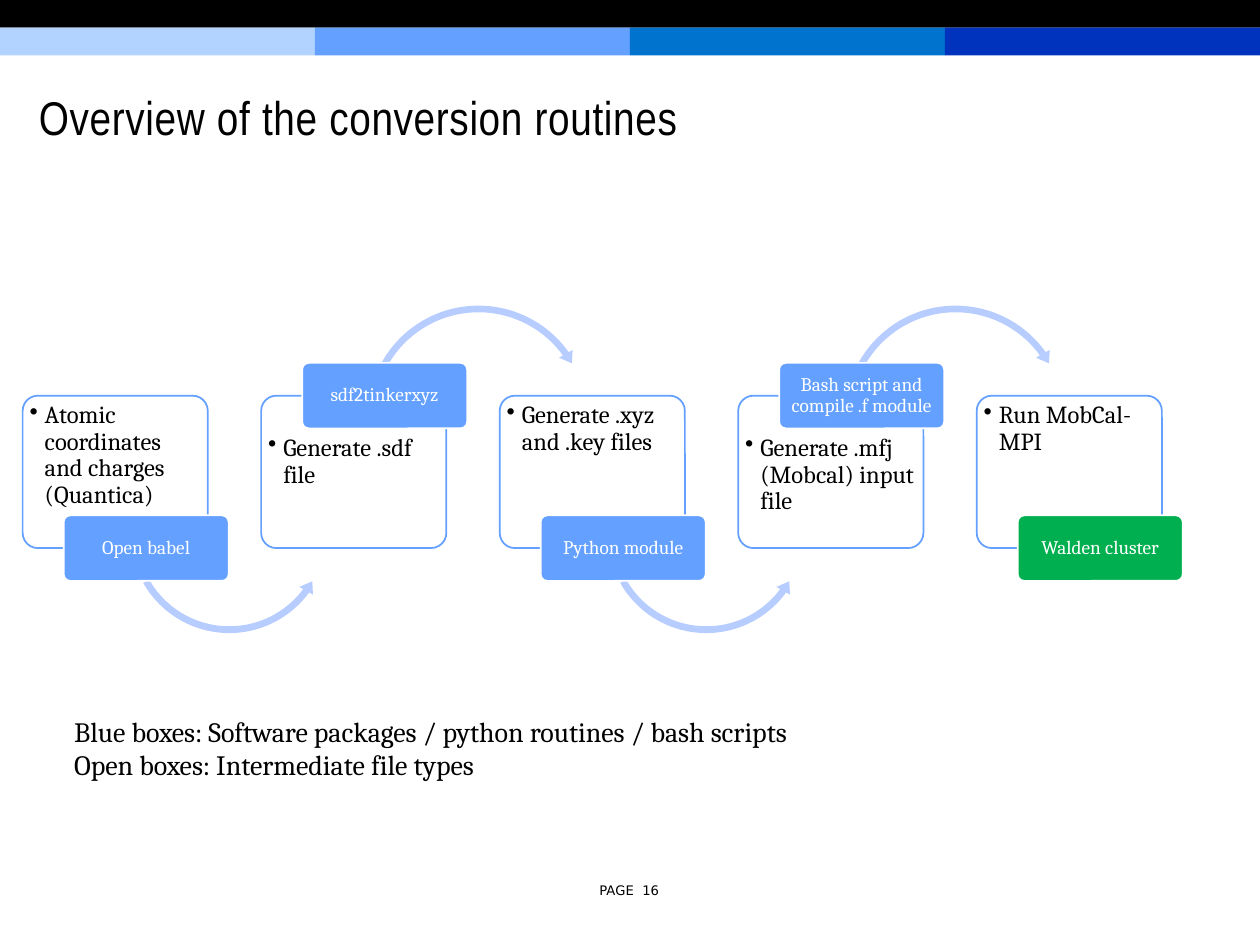
from dataclasses import dataclass

from lxml import etree
from pptx import Presentation
from pptx import util as u
from pptx.dml.color import RGBColor
from pptx.enum import shapes, text
from pptx.oxml.ns import qn


@dataclass(frozen=True)
class Theme:
    black: str = "000000"
    white: str = "FFFFFF"
    blue: str = "63A0FF"
    green: str = "00B050"
    arrow: str = "B7CDFF"
    bands: tuple = ("B2D3FF", "63A0FF", "0073CE", "0033BD")
    body_font: str = "Cambria"
    title_font: str = "Arial Narrow"
    page_font: str = "DejaVu Sans"
    title_size: float = 27
    legend_size: float = 16
    box_size: float = 14
    label_size: float = 11
    page_size: float = 7.5


THEME = Theme()
SHAPE = shapes.MSO_SHAPE
WIDTH, HEIGHT = 10, 7.5

# Step grid: one column per step, one row for the open boxes
FIRST_LEFT, COLUMN, ROW_TOP = 0.18, 1.893, 3.14
BOX_WIDTH, BOX_HEIGHT = 1.47, 1.21
LABEL_WIDTH, LABEL_HEIGHT = 1.31, 0.52
LABEL_SHIFT = 0.325

# Arrow forms: preset, size, left and top from the box corner, adjustments
ARROW_BELOW = (SHAPE.LEFT_CIRCULAR_ARROW, 1.64, 0.82, 0.28,
               (0.033, 4.05, 21.805, 90.245, 0.038))
ARROW_ABOVE = (SHAPE.CIRCULAR_ARROW, 1.83, 0.81, -0.75,
               (0.029, 3.606, 194.639, 125.755, 0.034))

STEPS = [
    ("Atomic coordinates and charges (Quantica)", "Open babel", THEME.blue),
    ("Generate .sdf file", "sdf2tinkerxyz", THEME.blue),
    ("Generate .xyz and .key files", "Python module", THEME.blue),
    ("Generate .mfj (Mobcal) input file", "Bash script and compile .f module", THEME.blue),
    ("Run MobCal-MPI", "Walden cluster", THEME.green),
]


def add_block(slide, preset, left, top, width, height, fill, line=None, opacity=100):
    shape = slide.shapes.add_shape(preset, *map(u.Inches, (left, top, width, height)))
    shape.shadow.inherit = False
    shape.fill.solid()
    shape.fill.fore_color.rgb = RGBColor.from_string(fill)
    if opacity < 100:
        color = shape._element.spPr.find(qn("a:solidFill"))[0]
        etree.SubElement(color, qn("a:alpha")).set("val", str(opacity * 1000))
    if line:
        shape.line.color.rgb = RGBColor.from_string(line)
        shape.line.width = u.Pt(1)
    else:
        shape.line.fill.background()
    return shape


def write(shape, *lines, size, font=THEME.body_font, color=THEME.black,
          align=text.PP_ALIGN.LEFT, anchor=text.MSO_ANCHOR.TOP,
          margins=(0.1, 0.05, 0.1, 0.05), line_spacing=None, tracking=None, bullet=False):
    frame = shape.text_frame
    frame.word_wrap = True
    frame.vertical_anchor = anchor
    (frame.margin_left, frame.margin_top,
     frame.margin_right, frame.margin_bottom) = map(u.Inches, margins)
    for index, line in enumerate(lines):
        paragraph = frame.add_paragraph() if index else frame.paragraphs[0]
        paragraph.alignment = align
        if line_spacing:
            paragraph.line_spacing = line_spacing
        run = paragraph.add_run()
        run.text = line
        run.font.size = u.Pt(size)
        run.font.name = font
        run.font.color.rgb = RGBColor.from_string(color)
        if tracking:
            run.font._element.set("spc", str(round(tracking * 100)))
        if bullet:
            properties = paragraph._p.get_or_add_pPr()
            properties.set("marL", str(u.Inches(0.12)))
            properties.set("indent", str(-u.Inches(0.12)))
            etree.SubElement(properties, qn("a:buChar")).set("char", "•")


def add_text(slide, left, top, width, height, *lines, **text_format):
    box = slide.shapes.add_textbox(*map(u.Inches, (left, top, width, height)))
    write(box, *lines, **text_format)


def add_header(slide):
    band_height = 0.22
    add_block(slide, SHAPE.RECTANGLE, 0, 0, WIDTH, band_height, THEME.black)
    band_width = WIDTH / len(THEME.bands)
    for column, color in enumerate(THEME.bands):
        add_block(slide, SHAPE.RECTANGLE, column * band_width, band_height,
                  band_width, band_height, color)


def add_arrow(slide, left, form):
    preset, size, shift, drop, adjustments = form
    arrow = add_block(slide, preset, left + shift, ROW_TOP + drop, size, size, THEME.arrow)
    for index, value in enumerate(adjustments):
        arrow.adjustments[index] = value


def add_step(slide, column, content, label, color):
    left = FIRST_LEFT + column * COLUMN
    label_above = column % 2 == 1

    # Open box with the file type
    box = add_block(slide, SHAPE.ROUNDED_RECTANGLE, left, ROW_TOP, BOX_WIDTH, BOX_HEIGHT,
                    THEME.white, line=THEME.blue, opacity=90)
    box.adjustments[0] = 0.1
    write(box, content, size=THEME.box_size, line_spacing=0.9, bullet=True,
          margins=(0.02, 0.28 if label_above else 0.02, 0.02, 0.02))

    # Arrow to the next step
    if column < len(STEPS) - 1:
        add_arrow(slide, left, ARROW_ABOVE if label_above else ARROW_BELOW)

    # Label centred on the top or bottom edge of the box
    edge = ROW_TOP if label_above else ROW_TOP + BOX_HEIGHT
    tag = add_block(slide, SHAPE.ROUNDED_RECTANGLE, left + LABEL_SHIFT,
                    edge - LABEL_HEIGHT / 2, LABEL_WIDTH, LABEL_HEIGHT,
                    color, line=THEME.white)
    tag.adjustments[0] = 0.1
    write(tag, label, size=THEME.label_size, color=THEME.white, line_spacing=0.9,
          align=text.PP_ALIGN.CENTER, anchor=text.MSO_ANCHOR.MIDDLE, margins=(0.02,) * 4)


def main():
    presentation = Presentation()
    presentation.slide_width, presentation.slide_height = u.Inches(WIDTH), u.Inches(HEIGHT)
    slide = presentation.slides.add_slide(presentation.slide_layouts[6])

    add_header(slide)
    add_text(slide, 0.21, 0.47, 9.53, 0.98, "Overview of the conversion routines",
             size=THEME.title_size, font=THEME.title_font, line_spacing=0.85,
             tracking=0.4, anchor=text.MSO_ANCHOR.MIDDLE)

    for column, step in enumerate(STEPS):
        add_step(slide, column, *step)

    # Legend and page number
    add_text(slide, 0.49, 5.62, 7.21, 0.91,
             "Blue boxes: Software packages / python routines / bash scripts",
             "Open boxes: Intermediate file types", size=THEME.legend_size)
    add_text(slide, 4.58, 6.93, 0.83, 0.27, "PAGE  16", size=THEME.page_size,
             font=THEME.page_font, align=text.PP_ALIGN.CENTER, anchor=text.MSO_ANCHOR.MIDDLE)

    presentation.save("out.pptx")


if __name__ == "__main__":
    main()
